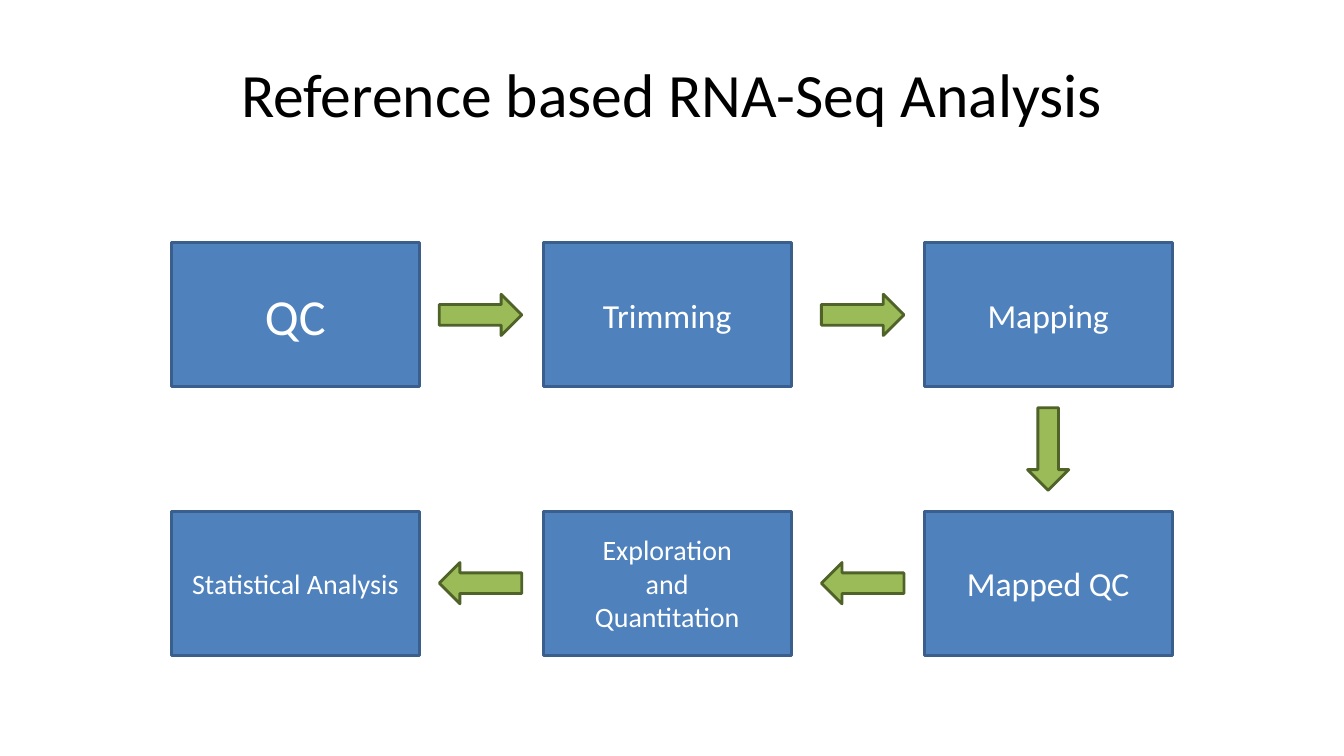
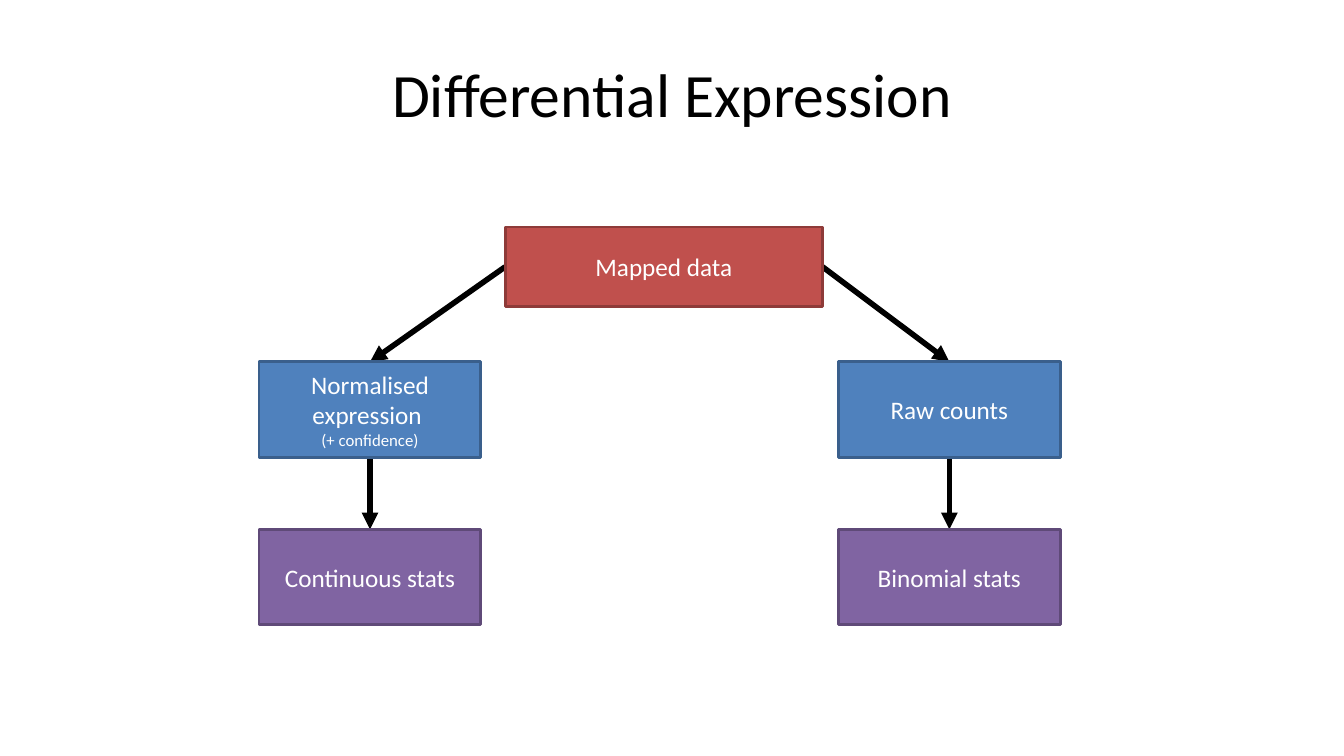
"""Build two slides on RNA-Seq analysis: a workflow and a decision tree."""
from lxml.etree import SubElement
from pptx import Presentation
from pptx.dml.color import RGBColor
from pptx.enum.shapes import MSO_CONNECTOR, MSO_SHAPE
from pptx.enum.text import MSO_ANCHOR, PP_ALIGN
from pptx.oxml.ns import qn
from pptx.util import Cm, Pt

BLACK = RGBColor(0x00, 0x00, 0x00)
WHITE = RGBColor(0xFF, 0xFF, 0xFF)
BLUE = RGBColor(0x4F, 0x81, 0xBD)
BLUE_EDGE = RGBColor(0x3A, 0x5F, 0x8C)
GREEN = RGBColor(0x9B, 0xBB, 0x59)
GREEN_EDGE = RGBColor(0x4F, 0x62, 0x28)
PURPLE = RGBColor(0x80, 0x64, 0xA2)
PURPLE_EDGE = RGBColor(0x5F, 0x4A, 0x78)
RED = RGBColor(0xC0, 0x50, 0x4D)
RED_EDGE = RGBColor(0x8E, 0x3B, 0x39)

FONT = "Calibri"
TOP, LEFT, BOTTOM, RIGHT = range(4)

STEP_W, STEP_H = 6.25, 3.63
STEP_XS = (4.32, 13.69, 23.29)
STEP_YS = (6.12, 12.88)
ARROW_W, ARROW_H = 2.08, 1.04
ARROW_XS = (12.11, 21.74)
STEPS = (
    (("QC", 36), ("Trimming", 24), ("Mapping", 24)),
    (("Statistical Analysis", 20), ("Exploration\nand\nQuantitation", 20),
     ("Mapped QC", 24)),
)

NODE_W, NODE_H = 5.59, 2.4
NODE_YS = (9.12, 13.34)
BRANCHES = (
    (6.53, LEFT, [("Normalised expression ", 18), ("(+ confidence)", 12)],
     "Continuous stats"),
    (21.13, RIGHT, [("Raw counts", 18)], "Binomial stats"),
)


def set_text(tf, lines, color):
    """Write (text, size) lines as centred paragraphs."""
    for attr, value in {"word_wrap": True,
                        "vertical_anchor": MSO_ANCHOR.MIDDLE}.items():
        setattr(tf, attr, value)
    for i, (text, size) in enumerate(lines):
        p = tf.add_paragraph() if i else tf.paragraphs[0]
        p.alignment = PP_ALIGN.CENTER
        r = p.add_run()
        r.text = text
        r.font.color.rgb = color
        for attr, value in {"name": FONT, "size": Pt(size)}.items():
            setattr(r.font, attr, value)


def add_titled_slide(prs, title):
    """Add a blank slide with the shared title style."""
    s = prs.slides.add_slide(prs.slide_layouts[6])
    tb = s.shapes.add_textbox(Cm(1.7), Cm(0.76), Cm(30.48), Cm(3.18))
    set_text(tb.text_frame, [(title, 44)], BLACK)
    return s


def add_filled(s, kind, box, fill, edge):
    """Add a flat preset shape; box is left, top, width, height in cm."""
    sp = s.shapes.add_shape(kind, *map(Cm, box))
    sp.shadow.inherit = False
    sp.fill.solid()
    sp.fill.fore_color.rgb = fill
    sp.line.color.rgb = edge
    sp.line.width = Pt(2)
    return sp


def add_box(s, box, lines, fill=BLUE, edge=BLUE_EDGE):
    """Add a labelled rectangle."""
    sp = add_filled(s, MSO_SHAPE.RECTANGLE, box, fill, edge)
    set_text(sp.text_frame, lines, WHITE)
    return sp


def add_block_arrow(s, x, y, rotation=0):
    """Add a green block arrow centred on a point."""
    box = (x - ARROW_W / 2, y - ARROW_H / 2, ARROW_W, ARROW_H)
    sp = add_filled(s, MSO_SHAPE.RIGHT_ARROW, box, GREEN, GREEN_EDGE)
    sp.rotation = rotation


def add_link(s, start, start_side, end, end_side):
    """Join two boxes with an arrow that lies behind them."""
    c = s.shapes.add_connector(MSO_CONNECTOR.STRAIGHT, 0, 0, 0, 0)
    c.begin_connect(start, start_side)
    c.end_connect(end, end_side)
    c.line.color.rgb = BLACK
    c.line.width = Pt(4)
    SubElement(c.line._get_or_add_ln(), qn("a:tailEnd"), type="triangle")
    SubElement(c._element.spPr, qn("a:effectLst"))
    s.shapes._spTree.insert(2, c._element)


def build_workflow(prs):
    """Build the slide with the six analysis steps."""
    s = add_titled_slide(prs, "Reference based RNA-Seq Analysis")
    for y, row, rotation in zip(STEP_YS, STEPS, (0, 180)):
        for x, (text, size) in zip(STEP_XS, row):
            lines = [(line, size) for line in text.split("\n")]
            add_box(s, (x, y, STEP_W, STEP_H), lines)
        for x in ARROW_XS:
            add_block_arrow(s, x, y + STEP_H / 2, rotation)
    add_block_arrow(s, STEP_XS[-1] + STEP_W / 2,
                    (sum(STEP_YS) + STEP_H) / 2, 90)


def build_expression(prs):
    """Build the slide with the two routes from mapped data."""
    s = add_titled_slide(prs, "Differential Expression")
    root = add_box(s, (12.73, 5.72, 8, 2.01), [("Mapped data", 18)],
                   RED, RED_EDGE)
    for x, side, measure_lines, stats_text in BRANCHES:
        measure = add_box(s, (x, NODE_YS[0], NODE_W, NODE_H), measure_lines)
        stats = add_box(s, (x, NODE_YS[1], NODE_W, NODE_H),
                        [(stats_text, 18)], PURPLE, PURPLE_EDGE)
        add_link(s, root, side, measure, TOP)
        add_link(s, measure, BOTTOM, stats, TOP)


def main():
    """Create and save the presentation."""
    prs = Presentation()
    for attr, value in {"slide_width": Cm(33.87),
                        "slide_height": Cm(19.05)}.items():
        setattr(prs, attr, value)
    build_workflow(prs)
    build_expression(prs)
    prs.save("out.pptx")


if __name__ == "__main__":
    main()
